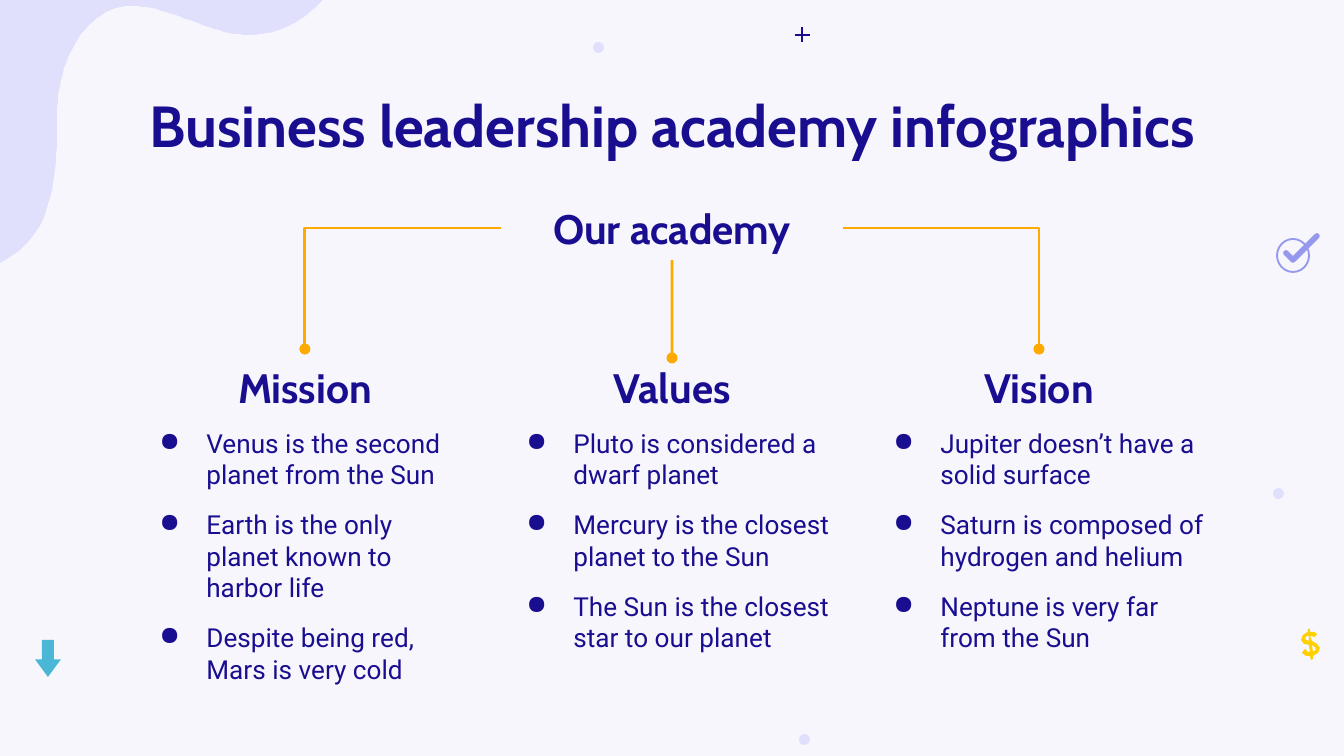
from dataclasses import dataclass

from lxml import etree
from pptx import Presentation
from pptx import util as u
from pptx.dml.color import RGBColor
from pptx.enum import shapes, text
from pptx.oxml.ns import qn

PX = 914400 / 134.4
NAVY, LILAC, GOLD, IRIS = "1A0E90", "E0E0FD", "FFAA00", "9698ED"
Point = tuple[int, int]


@dataclass
class Box:
    x: int
    y: int
    w: int
    h: int


@dataclass
class Topic:
    name: str
    facts: list[str]


TOPICS = [
    Topic("Mission", ["Venus is the second planet from the Sun",
                      "Earth is the only planet known to harbor life",
                      "Despite being red, Mars is very cold"]),
    Topic("Values", ["Pluto is considered a dwarf planet",
                     "Mercury is the closest planet to the Sun",
                     "The Sun is the closest star to our planet"]),
    Topic("Vision", ["Jupiter doesn’t have a solid surface",
                     "Saturn is composed of hydrogen and helium",
                     "Neptune is very far from the Sun"]),
]
WAVE = [
    [(323, 0), (302, 22), (277, 35), (249, 35)],
    [(249, 35), (208, 35), (172, 6), (132, 6)],
    [(132, 6), (88, 6), (57, 58), (57, 115)],
    [(57, 115), (57, 165), (58, 236), (0, 263)],
]
DOLLAR = [
    [(1310, 629), (1308, 629), (1308, 632), (1303, 635), (1301, 640),
     (1304, 644), (1309, 645), (1310, 652), (1308, 652), (1305, 649),
     (1302, 653), (1306, 656), (1310, 656), (1311, 660), (1313, 659),
     (1313, 656), (1318, 653), (1320, 648), (1317, 644), (1312, 641),
     (1310, 636), (1315, 637), (1317, 634), (1314, 632), (1310, 632)],
    [(1309, 636), (1309, 641), (1306, 640), (1305, 638), (1307, 636)],
    [(1312, 645), (1315, 647), (1316, 650), (1313, 652)],
]


def emu(n: float) -> int:
    return round(n * PX)


def hue(code: str) -> RGBColor:
    return RGBColor.from_string(code)


def paint(shape, fill: str | None, line: str | None = None, width: float = 1):
    shape.shadow.inherit = False
    if fill:
        shape.fill.solid()
        shape.fill.fore_color.rgb = hue(fill)
    else:
        shape.fill.background()
    if line:
        shape.line.color.rgb = hue(line)
        shape.line.width = u.Pt(width)
    else:
        shape.line.fill.background()
    return shape


def preset(kind, box: Box, fill: str | None, line: str | None = None):
    shape = slide.shapes.add_shape(
        kind, emu(box.x), emu(box.y), emu(box.w), emu(box.h))
    return paint(shape, fill, line)


def trace(loops: list[list[Point]], shut: bool = True):
    pen = slide.shapes.build_freeform(*loops[0][0], scale=PX)
    for i, loop in enumerate(loops):
        if i:
            pen.move_to(*loop[0])
        pen.add_line_segments(loop[1:], close=shut)
    return pen.convert_to_shape()


def curve(pts: list[Point], steps: int = 24) -> list[Point]:
    a, b, c, d = pts
    out = []
    for i in range(1, steps + 1):
        t = i / steps
        s = 1 - t
        out.append(tuple(s**3 * p + 3 * s * s * t * q + 3 * s * t * t * r + t**3 * v
                         for p, q, r, v in zip(a, b, c, d)))
    return out


def label(box: Box, words: str, size: int, face: str = "Cabin"):
    shape = slide.shapes.add_textbox(
        emu(box.x), emu(box.y), emu(box.w), emu(box.h))
    frame = shape.text_frame
    frame.word_wrap = True
    frame.margin_left = frame.margin_right = u.Inches(0.1)
    frame.margin_top = frame.margin_bottom = u.Inches(0.1)
    frame.text = words
    for para in frame.paragraphs:
        para.alignment = text.PP_ALIGN.CENTER
        for run in para.runs:
            run.font.name = face
            run.font.size = u.Pt(size)
            run.font.bold = face == "Cabin"
            run.font.color.rgb = hue(NAVY)
    return shape


def bullets(box: Box, facts: list[str]) -> None:
    shape = label(box, "\n".join(facts), 14, "Roboto")
    for i, para in enumerate(shape.text_frame.paragraphs):
        props = para._p.get_or_add_pPr()
        props.set("marL", str(u.Inches(0.5)))
        props.set("indent", str(u.Inches(-0.35)))
        tint = etree.SubElement(props, qn("a:buClr"))
        etree.SubElement(tint, qn("a:srgbClr"), val=NAVY)
        etree.SubElement(props, qn("a:buChar"), char="●")
        para.alignment = text.PP_ALIGN.LEFT
        if i:
            para.space_before = u.Pt(10)


def link(start: Point, end: Point, code: str, width: float,
         bent: bool = False, dot: bool = False):
    kind = shapes.MSO_CONNECTOR.ELBOW if bent else shapes.MSO_CONNECTOR.STRAIGHT
    line = slide.shapes.add_connector(kind, *map(emu, start + end))
    line.line.color.rgb = hue(code)
    line.line.width = u.Pt(width)
    props = line._element.spPr
    if bent:
        props.find(qn("a:prstGeom")).set("prst", "bentConnector2")
    if dot:
        etree.SubElement(line.line._get_or_add_ln(), qn("a:tailEnd"), type="oval")
    etree.SubElement(props, qn("a:effectLst"))
    return line


deck = Presentation()
deck.slide_width, deck.slide_height = emu(1344), emu(756)
slide = deck.slides.add_slide(deck.slide_layouts[6])
slide.background.fill.solid()
slide.background.fill.fore_color.rgb = hue("F6F6FC")

arrow = preset(shapes.MSO_SHAPE.DOWN_ARROW, Box(35, 640, 26, 37), "4AB7D6")
arrow.adjustments[0], arrow.adjustments[1] = 0.46, 0.68
paint(trace(DOLLAR), "FFD000")
preset(shapes.MSO_SHAPE.OVAL, Box(1277, 239, 32, 33), None, IRIS)
tick = paint(trace([[(1286, 253), (1293, 260), (1317, 236)]], False), None, IRIS, 3)
tick.line._get_or_add_ln().set("cap", "rnd")
for x, y in [(1273, 488), (799, 734), (593, 42)]:
    preset(shapes.MSO_SHAPE.OVAL, Box(x, y, 11, 11), LILAC)
link((795, 35), (810, 35), NAVY, 0.78)
link((802, 42), (802, 27), NAVY, 0.78)
paint(trace([[(0, 0), (323, 0)] + [p for part in WAVE for p in curve(part)]]), LILAC)

title = label(Box(106, 66, 1132, 85), "Business leadership academy infographics", 31)
title.text_frame.paragraphs[0].line_spacing = 1.15
root = label(Box(501, 196, 342, 64), "Our academy", 22)
root.text_frame.vertical_anchor = text.MSO_ANCHOR.MIDDLE

heads = []
for i, topic in enumerate(TOPICS):
    left = 126 + 367 * i
    heads.append(label(Box(left, 349, 358, 64), topic.name, 22))
    bullets(Box(left, 414, 358, 249), topic.facts)

for head, side, x, end in [(heads[0], 1, 501, 305), (heads[2], 3, 843, 1039)]:
    line = link((x, 228), (end, 349), GOLD, 1.5, bent=True, dot=True)
    line.begin_connect(root, side)
    line.end_connect(head, 0)
stem = link((672, 260), (672, 358), GOLD, 1.5, dot=True)
stem.begin_connect(root, 2)

deck.save("out.pptx")
